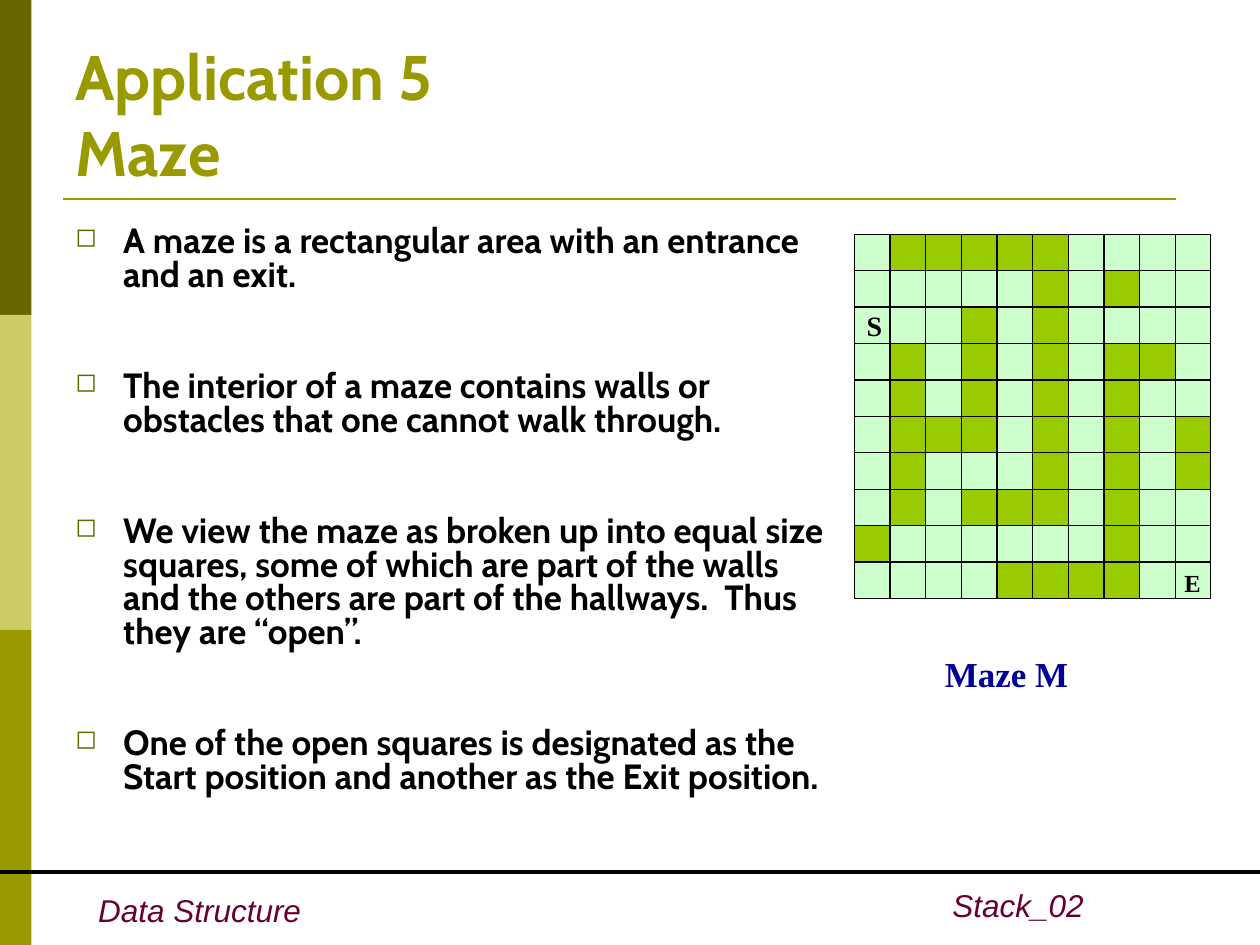
from lxml.etree import SubElement
from pptx import Presentation
from pptx.dml.color import RGBColor
from pptx.enum.shapes import MSO_CONNECTOR, MSO_SHAPE
from pptx.enum.text import MSO_ANCHOR, PP_ALIGN
from pptx.oxml.ns import qn
from pptx.util import Inches, Pt

POINTS = [
    "A maze is a rectangular area with an entrance and an exit.",
    "The interior of a maze contains walls or obstacles that one cannot walk through.",
    "We view the maze as broken up into equal size squares, some of which are part "
    "of the walls and the others are part of the hallways.  Thus they are “open”.",
    "One of the open squares is designated as the Start position and another as "
    "the Exit position.",
]

# "#" is a wall, "." is open
MAZE = [
    ".#####....",
    ".....#.#..",
    "S..#.#....",
    ".#.#.#.##.",
    ".#.#.#.#..",
    ".###.#.#.#",
    ".#...#.#.#",
    ".#.###.#..",
    "#......#..",
    "....####..",
]


def color(code):
    return RGBColor.from_string(code)


class Deck:
    head, serif, sans = "Cabin", "Times New Roman", "Arial"
    black, olive, dark, pale = "000000", "999900", "666600", "CCCC66"
    wine, navy, wall, hall = "660033", "000099", "99CC00", "CCFFCC"

    def __init__(self, slide):
        self.slide = slide

    def style(self, frame, size, face, hue, bold=True, slant=False):
        for para in frame.paragraphs:
            for run in para.runs:
                font = run.font
                font.size, font.name = Pt(size), face
                font.bold, font.italic = bold, slant
                font.color.rgb = color(hue)

    def rect(self, left, top, wide, high, fill, edge=None, home=None):
        """Draw a rectangle on the slide, or in the group given as home."""
        shape = (home or self.slide).shapes.add_shape(
            MSO_SHAPE.RECTANGLE, Inches(left), Inches(top), Inches(wide), Inches(high))
        shape.shadow.inherit = False
        shape.fill.solid()
        shape.fill.fore_color.rgb = color(fill)
        if edge:
            shape.line.color.rgb = color(edge)
            shape.line.width = Pt(0.75)
        else:
            shape.line.fill.background()
        return shape

    def rule(self, left, right, top, hue, width):
        line = self.slide.shapes.add_connector(
            MSO_CONNECTOR.STRAIGHT, Inches(left), Inches(top), Inches(right), Inches(top))
        line.line.color.rgb = color(hue)
        line.line.width = Pt(width)
        SubElement(line._element.spPr, qn("a:effectLst"))

    def text(self, left, top, wide, high, words, *look, wrap=False,
             align=PP_ALIGN.LEFT, anchor=MSO_ANCHOR.TOP, home=None):
        box = (home or self.slide).shapes.add_textbox(
            Inches(left), Inches(top), Inches(wide), Inches(high))
        frame = box.text_frame
        frame.word_wrap, frame.vertical_anchor = wrap, anchor
        frame.text = words
        for para in frame.paragraphs:
            para.alignment = align
        self.style(frame, *look)
        return frame

    def bullet(self, para):
        props = para._p.get_or_add_pPr()
        props.set("marL", str(Inches(0.38)))
        props.set("indent", str(-Inches(0.38)))
        tint = SubElement(props, qn("a:buClr"))
        SubElement(tint, qn("a:srgbClr"), val=self.dark)
        SubElement(props, qn("a:buSzPct"), val="75000")
        SubElement(props, qn("a:buChar"), char="◻")

    def points(self, left, top, wide, high, items):
        frame = self.text(left, top, wide, high, "\n".join(items),
                          20, self.head, self.black, wrap=True)
        for spot, para in enumerate(frame.paragraphs):
            self.bullet(para)
            para.line_spacing = 0.8
            para.space_before = Pt(44.4 if spot else 0)

    def maze(self, left, top, wide, high, rows):
        group = self.slide.shapes.add_group_shape()
        step_x, step_y = wide / len(rows[0]), high / len(rows)
        for row, marks in enumerate(rows):
            for col, mark in enumerate(marks):
                cell = self.rect(left + col * step_x, top + row * step_y, step_x, step_y,
                                 self.wall if mark == "#" else self.hall,
                                 self.black, group)
                if mark == "S":
                    frame = cell.text_frame
                    frame.word_wrap = False
                    frame.text = mark
                    frame.paragraphs[0].alignment = PP_ALIGN.LEFT
                    self.style(frame, 16, self.serif, self.black)
        self.text(9.3, 4.46, 0.33, 0.34, "E", 14, self.serif, self.black,
                  align=PP_ALIGN.CENTER, home=group)
        self.text(7.4, 5.13, 1.18, 0.44, "Maze M", 20, self.serif, self.navy, home=group)


def main():
    show = Presentation()
    show.slide_width, show.slide_height = Inches(10), Inches(7.5)
    deck = Deck(show.slides.add_slide(show.slide_layouts[6]))

    for spot, fill in enumerate([deck.dark, deck.pale, deck.olive]):
        deck.rect(0, 2.5 * spot, 0.25, 2.5, fill)
    deck.rule(0.5, 9.33, 1.58, deck.olive, 1.5)
    deck.rule(0, 10, 6.92, deck.black, 2.25)

    foot = (18, deck.sans, deck.wine, False, True)
    deck.text(0.68, 7.02, 1.81, 0.4, "Data Structure", *foot)
    deck.text(6.97, 6.98, 1.73, 0.4, "Stack_02", *foot, wrap=True, align=PP_ALIGN.RIGHT)

    deck.text(0.5, 0.3, 9, 1.25, "Application 5\vMaze", 36, deck.head, deck.olive,
              wrap=True, anchor=MSO_ANCHOR.BOTTOM)
    deck.points(0.5, 1.75, 6.23, 4.95, POINTS)
    deck.maze(6.78, 1.86, 2.83, 2.89, MAZE)
    show.save("out.pptx")


if __name__ == "__main__":
    main()
